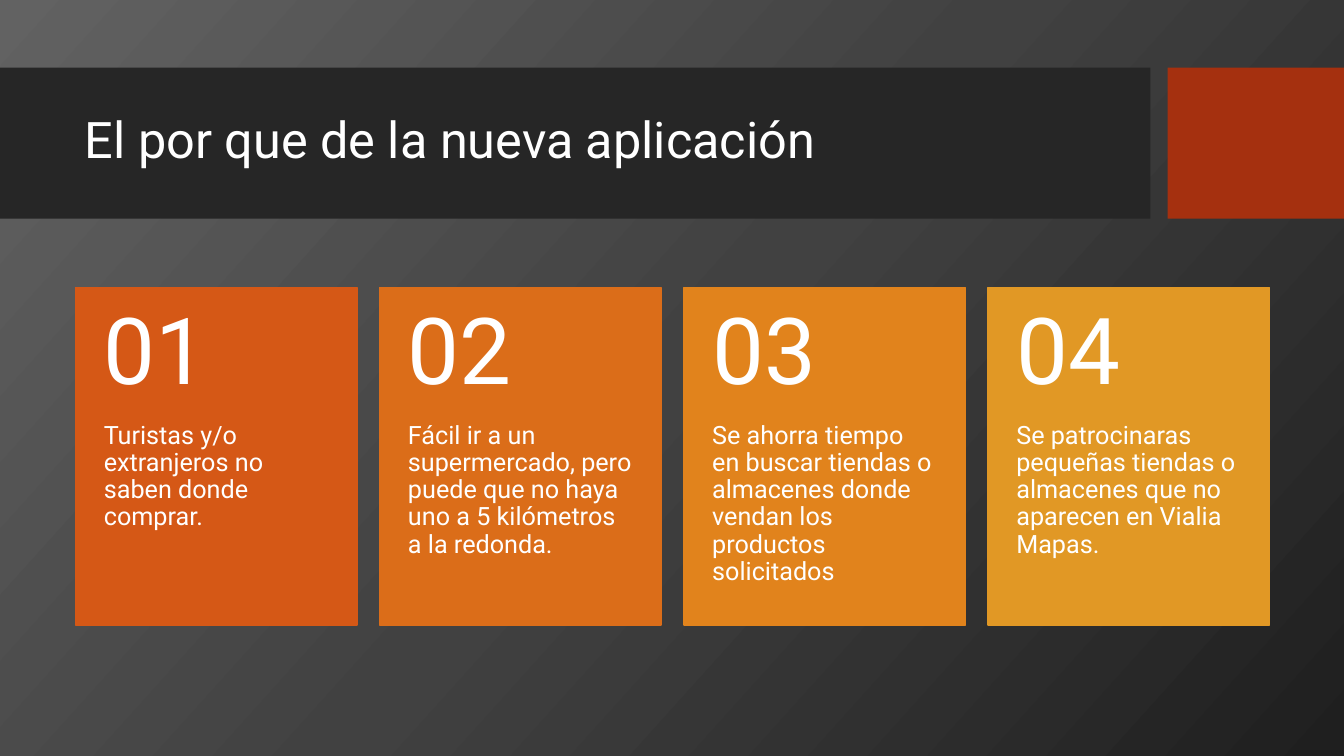
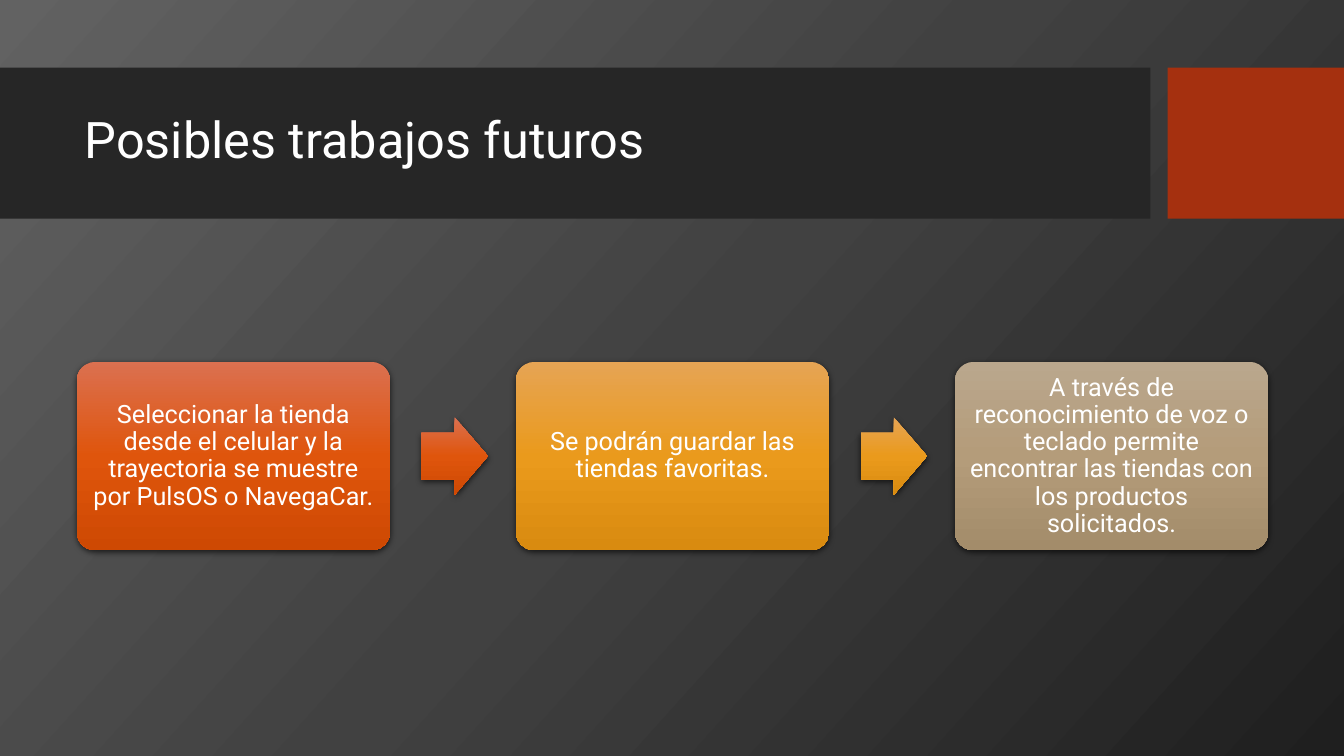
from dataclasses import dataclass

from lxml.etree import SubElement
from pptx import Presentation
from pptx.dml.color import RGBColor
from pptx.enum.shapes import MSO_SHAPE
from pptx.enum.text import MSO_ANCHOR, MSO_AUTO_SIZE, PP_ALIGN
from pptx.oxml.ns import qn
from pptx.util import Inches, Pt


@dataclass(frozen=True)
class Theme:
    font: str = "Roboto"
    text: str = "FFFFFF"
    band: str = "262626"
    accent: str = "A5300F"
    shadow: str = "000000"
    backdrop: tuple = ("626262", "414141", "1F1F1F")
    cards: tuple = ("D55816", "DB6D19", "E1831C", "E19825")
    steps: tuple = (
        ("DB7050", "DF550C", "CE4903"),
        ("E6A454", "EA9A1C", "D98B10"),
        ("BAA78D", "B49C7A", "A38C6A"),
    )
    title_size: int = 36
    number_size: int = 66
    body_size: int = 18


@dataclass(frozen=True)
class Box:
    left: float
    top: float
    width: float
    height: float

    def lengths(self):
        return [Inches(n) for n in (self.left, self.top, self.width, self.height)]

    def columns(self, count, width):
        pitch = (self.width - width) / (count - 1)
        return [Box(self.left + i * pitch, self.top, width, self.height) for i in range(count)]


THEME = Theme()
SLIDE = Box(0, 0, 13.33, 7.5)
BAND = Box(0, 0.67, 11.41, 1.5)
ACCENT = Box(11.58, 0.67, 1.75, 1.5)
TITLE = Box(0.74, 0.82, 10.51, 1.18)
CARDS = Box(0.75, 2.85, 11.84, 3.35)
STEPS = Box(0.76, 3.59, 11.82, 1.87)

REASONS = (
    "Turistas y/o extranjeros no saben donde comprar.",
    "Fácil ir a un supermercado, pero puede que no haya uno a 5 kilómetros a la redonda.",
    "Se ahorra tiempo en buscar tiendas o almacenes donde vendan los productos solicitados",
    "Se patrocinaras pequeñas tiendas o almacenes que no aparecen en Vialia Mapas.",
)
FUTURE_WORK = (
    "Seleccionar la tienda desde el celular y la trayectoria se muestre por PulsOS o NavegaCar.",
    "Se podrán guardar las tiendas favoritas.",
    "A través de reconocimiento de voz o teclado permite encontrar las tiendas con "
    "los productos solicitados.",
)


def color(value):
    return RGBColor.from_string(value)


def paint_gradient(fill, element, colors, angle):
    fill.gradient()
    gradient = next(element.iter(qn("a:gradFill")))
    stops = gradient.find(qn("a:gsLst"))
    for stop in list(stops):
        stops.remove(stop)
    for index, value in enumerate(colors):
        position = index * 100000 // (len(colors) - 1)
        stop = SubElement(stops, qn("a:gs"), pos=str(position))
        SubElement(stop, qn("a:srgbClr"), val=value)
    gradient.find(qn("a:lin")).set("ang", str(angle * 60000))


def add_block(page, kind, box):
    block = page.shapes.add_shape(kind, *box.lengths())
    block.shadow.inherit = False
    block.line.fill.background()
    return block


def add_solid(page, box, value):
    block = add_block(page, MSO_SHAPE.RECTANGLE, box)
    block.fill.solid()
    block.fill.fore_color.rgb = color(value)
    return block


def add_glossy(page, kind, box, colors, adjustments):
    block = add_block(page, kind, box)
    for index, value in enumerate(adjustments):
        block.adjustments[index] = value
    paint_gradient(block.fill, block.element, colors, 90)
    effects = block.element.spPr.find(qn("a:effectLst"))
    shadow = SubElement(
        effects, qn("a:outerShdw"), blurRad=str(Pt(4.5)), dist=str(Pt(1.5)),
        dir="5400000", algn="ctr", rotWithShape="0",
    )
    tint = SubElement(shadow, qn("a:srgbClr"), val=THEME.shadow)
    SubElement(tint, qn("a:alpha"), val="63000")
    return block


def write(shape, text, size, margins, anchor=MSO_ANCHOR.MIDDLE, align=PP_ALIGN.LEFT):
    frame = shape.text_frame
    frame.word_wrap = True
    frame.auto_size = MSO_AUTO_SIZE.NONE
    frame.vertical_anchor = anchor
    (frame.margin_left, frame.margin_top,
     frame.margin_right, frame.margin_bottom) = [Inches(n) for n in margins]
    para = frame.paragraphs[0]
    para.text = text
    para.alignment = align
    para.line_spacing = 0.9
    para.font.name = THEME.font
    para.font.size = Pt(size)
    para.font.color.rgb = color(THEME.text)


def add_page(deck, layout, title):
    page = deck.slides.add_slide(layout)
    heading = page.shapes.title
    heading.left, heading.top, heading.width, heading.height = TITLE.lengths()
    write(heading, title, THEME.title_size, (0.1, 0.05, 0.1, 0.05))
    return page


def style_layout(layout, page):
    paint_gradient(layout.background.fill, layout.element, THEME.backdrop, 42)
    bands = [add_solid(page, BAND, THEME.band), add_solid(page, ACCENT, THEME.accent)]
    for index, band in enumerate(bands):
        layout.element.cSld.spTree.insert(2 + index, band.element)


def add_card(page, box, number, text, value):
    card = add_solid(page, box, value)
    card.line.color.rgb = color(value)
    card.line.width = Pt(1)
    split = box.height * 0.4
    body = Box(box.left, box.top + split, box.width, box.height - split)
    head = Box(box.left, box.top, box.width, split)
    write(page.shapes.add_textbox(*body.lengths()), text, THEME.body_size,
          (0.28, 0, 0.28, 0.36), MSO_ANCHOR.TOP)
    write(page.shapes.add_textbox(*head.lengths()), f"{number:02}", THEME.number_size,
          (0.28, 0.18, 0.28, 0.18))


def add_cards(page, area):
    columns = area.columns(len(REASONS), 2.79)
    for number, (box, text, value) in enumerate(zip(columns, REASONS, THEME.cards), 1):
        add_card(page, box, number, text, value)


def add_steps(page, area):
    columns = area.columns(len(FUTURE_WORK), 3.11)
    for box, text, colors in zip(columns, FUTURE_WORK, THEME.steps):
        step = add_glossy(page, MSO_SHAPE.ROUNDED_RECTANGLE, box, colors, [0.1])
        write(step, text, THEME.body_size, (0.07,) * 4, align=PP_ALIGN.CENTER)
        if box != columns[-1]:
            arrow = Box(box.left + box.width + 0.31, box.top + (box.height - 0.77) / 2, 0.66, 0.77)
            add_glossy(page, MSO_SHAPE.RIGHT_ARROW, arrow, colors, [0.6, 0.5])


def main():
    deck = Presentation()
    deck.slide_width = Inches(SLIDE.width)
    deck.slide_height = Inches(SLIDE.height)
    layout = deck.slide_layouts.get_by_name("Title Only")
    reasons = add_page(deck, layout, "El por que de la nueva aplicación")
    style_layout(layout, reasons)
    add_cards(reasons, CARDS)
    add_steps(add_page(deck, layout, "Posibles trabajos futuros"), STEPS)
    deck.save("out.pptx")


if __name__ == "__main__":
    main()
